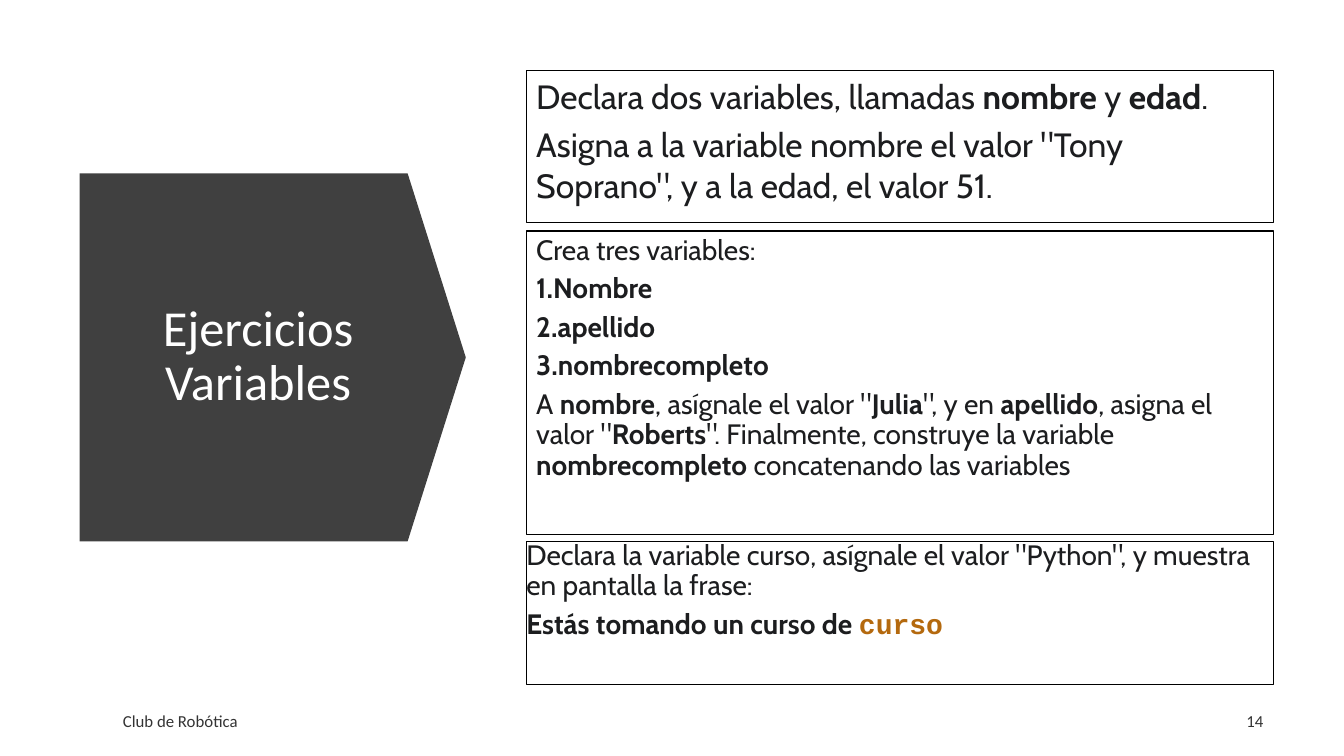
from pptx import Presentation
from pptx.dml.color import RGBColor as RGB
from pptx.enum.shapes import MSO_SHAPE as Shape
from pptx.enum.text import MSO_ANCHOR as Anchor, PP_ALIGN as Align
from pptx.util import Inches, Pt
from lxml.etree import SubElement
from pptx.oxml.ns import qn

WHITE = RGB(255, 255, 255)
BLACK = RGB(0, 0, 0)
DARK = RGB(0x40, 0x40, 0x40)
INK = RGB(0x1C, 0x1D, 0x1F)
GREY = RGB(0x33, 0x33, 0x33)
CODE = RGB(0xB4, 0x69, 0x0E)

TASKS = [
    (0.7, 1.51, 24, 1.0, (0.1, 0.05), [
        "Declara dos variables, llamadas |nombre |y |edad|.",
        'Asigna a la variable nombre el valor "Tony Soprano", y a la edad, el valor 51.',
    ]),
    (2.29, 3.01, 20, 0.9, (0.1, 0.05), [
        "Crea tres variables:",
        "#|Nombre",
        "#|apellido",
        "#|nombrecompleto",
        'A |nombre|, asígnale el valor "|Julia|", y en |apellido|, asigna el valor "|Roberts|". '
        "Finalmente, construye la variable |nombrecompleto |concatenando las variables",
    ]),
    (5.37, 1.42, 20, 0.9, (0, 0), [
        'Declara la variable curso, asígnale el valor "Python", y muestra en pantalla la frase:',
        "|Estás tomando un curso de `curso`",
    ]),
]
LABELS = [
    ("Ejercicios Variables", 1.12, 2.15, 2.88, 2.79, 36, WHITE, Align.CENTER, 0.9),
    ("Club de Robótica", 1.12, 6.95, 6.79, 0.4, 12, GREY, Align.LEFT, 1.0),
    ("14", 12.07, 6.95, 0.56, 0.4, 12, GREY, Align.RIGHT, 1.0),
]
LEFT, WIDTH = 5.22, 7.41


def set_font(font, name, size, color):
    font.name, font.size = name, Pt(size)
    font.color.rgb = color


def add_runs(para, text):
    for i, part in enumerate(text.split("|")):
        for j, piece in enumerate(part.split("`")):
            if piece:
                run = para.add_run()
                run.text = piece
                if i % 2:
                    run.font.bold = True
                if j % 2:
                    run.font.name = "Courier New"
                    run.font.color.rgb = CODE


def add_task(shapes, top, height, size, lead, inset, lines):
    box = shapes.add_shape(Shape.RECTANGLE, Inches(LEFT), Inches(top),
                           Inches(WIDTH), Inches(height))
    box.shadow.inherit = False
    box.fill.solid()
    box.fill.fore_color.rgb = WHITE
    box.line.color.rgb = BLACK
    box.line.width = Pt(1)
    frame = box.text_frame
    frame.word_wrap = True
    frame.vertical_anchor = Anchor.TOP
    frame.margin_left = frame.margin_right = Inches(inset[0])
    frame.margin_top = frame.margin_bottom = Inches(inset[1])
    for i, line in enumerate(lines):
        para = frame.add_paragraph() if i else frame.paragraphs[0]
        para.alignment = Align.LEFT
        para.line_spacing = lead
        para.space_after = Pt(6)
        if line.startswith("#"):
            props = para._p.get_or_add_pPr()
            SubElement(props, qn("a:buFont"), typeface="+mj-lt")
            SubElement(props, qn("a:buAutoNum"), type="arabicPeriod")
        set_font(para.font, "Cabin", size, INK)
        add_runs(para, line.lstrip("#"))


def add_label(shapes, text, left, top, width, height, size, color, align, lead):
    box = shapes.add_textbox(Inches(left), Inches(top), Inches(width), Inches(height))
    frame = box.text_frame
    frame.word_wrap = True
    frame.vertical_anchor = Anchor.MIDDLE
    para = frame.paragraphs[0]
    para.text = text
    para.alignment = align
    para.line_spacing = lead
    set_font(para.font, "Calibri", size, color)


def main():
    deck = Presentation()
    deck.slide_width, deck.slide_height = Inches(13.33), Inches(7.5)
    shapes = deck.slides.add_slide(deck.slide_layouts[6]).shapes
    arrow = shapes.add_shape(Shape.DOWN_ARROW, Inches(0.88), Inches(1.63),
                             Inches(3.65), Inches(3.83))
    arrow.rotation = 270
    arrow.adjustments[0], arrow.adjustments[1] = 1, 0.158
    arrow.shadow.inherit = False
    arrow.fill.solid()
    arrow.fill.fore_color.rgb = DARK
    arrow.line.fill.background()
    for task in TASKS:
        add_task(shapes, *task)
    for label in LABELS:
        add_label(shapes, *label)
    deck.save("out.pptx")


if __name__ == "__main__":
    main()
